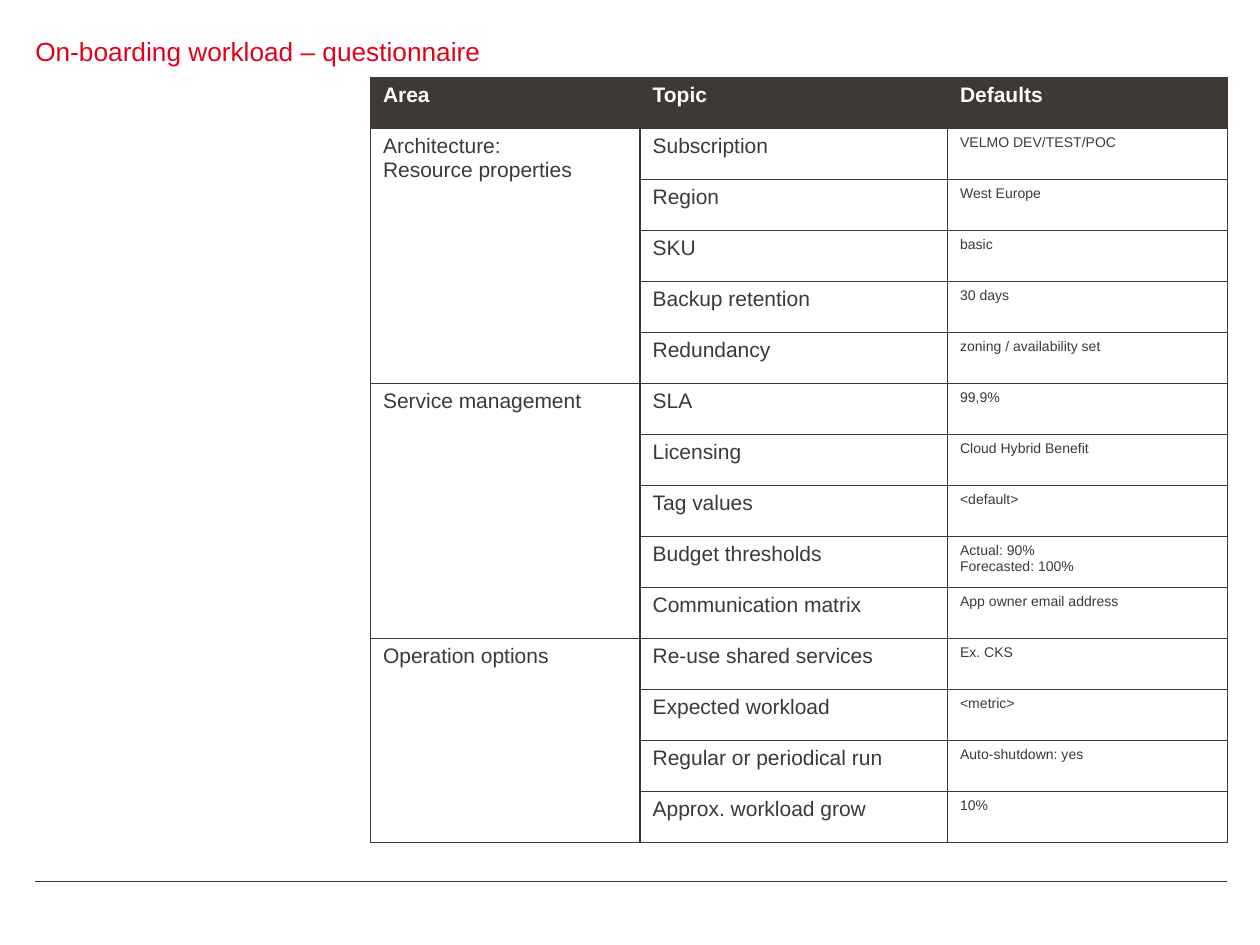
from dataclasses import dataclass

from lxml.etree import SubElement
from pptx import Presentation
from pptx.dml.color import RGBColor
from pptx.enum.shapes import MSO_CONNECTOR
from pptx.enum.text import MSO_ANCHOR, PP_ALIGN
from pptx.oxml.ns import qn
from pptx.util import Inches, Pt


@dataclass(frozen=True)
class Theme:
    font: str = "Arial"
    accent: str = "DF021B"
    ink: str = "3D3935"
    edge: str = "3C3834"
    paper: str = "FFFFFF"
    title_size: float = 15
    cell_size: float = 12
    default_size: float = 8
    thin: float = 0.75
    grid: float = 1


# Positions as shares of the slide
LEFT, RIGHT = 0.028, 0.974
TITLE_TOP, TITLE_HEIGHT = 0.04, 0.033
TABLE_LEFT, TABLE_TOP, TABLE_HEIGHT = 0.294, 0.082, 0.81
COLUMNS = (0.214, 0.244, 0.222)
FOOTER_Y = 0.933

HEADER = ("Area", "Topic", "Defaults")
AREAS = {
    "Architecture:\nResource properties": [
        ("Subscription", "VELMO DEV/TEST/POC"),
        ("Region", "West Europe"),
        ("SKU", "basic"),
        ("Backup retention", "30 days"),
        ("Redundancy", "zoning / availability set"),
    ],
    "Service management": [
        ("SLA", "99,9%"),
        ("Licensing", "Cloud Hybrid Benefit"),
        ("Tag values", "<default>"),
        ("Budget thresholds", "Actual: 90%\nForecasted: 100%"),
        ("Communication matrix", "App owner email address"),
    ],
    "Operation options": [
        ("Re-use shared services", "Ex. CKS"),
        ("Expected workload", "<metric>"),
        ("Regular or periodical run", "Auto-shutdown: yes"),
        ("Approx. workload grow", "10%"),
    ],
}


def write(tf, text, *, font, size, color, bold=False, spacing=None):
    """Fill a text frame, one paragraph per line of text."""
    for i, line in enumerate(text.split("\n")):
        p = tf.add_paragraph() if i else tf.paragraphs[0]
        p.alignment = PP_ALIGN.LEFT
        p.line_spacing = spacing
        r = p.add_run()
        r.text = line
        r.font.name = font
        r.font.size = Pt(size)
        r.font.bold = bold
        r.font.color.rgb = RGBColor.from_string(color)


class Deck:
    def __init__(self, theme):
        self.theme = theme
        self.prs = Presentation()
        self.prs.slide_width, self.prs.slide_height = Inches(10), Inches(7.5)
        self.s = self.prs.slides.add_slide(self.prs.slide_layouts[5])

    def x(self, share):
        return round(self.prs.slide_width * share)

    def y(self, share):
        return round(self.prs.slide_height * share)

    def title(self, text):
        t, sp = self.theme, self.s.shapes.title
        sp.left, sp.top = self.x(LEFT), self.y(TITLE_TOP)
        sp.width, sp.height = self.x(RIGHT - LEFT), self.y(TITLE_HEIGHT)
        tf = sp.text_frame
        tf.margin_left = tf.margin_right = tf.margin_top = tf.margin_bottom = 0
        tf.vertical_anchor = MSO_ANCHOR.MIDDLE
        write(tf, text, font=t.font, size=t.title_size, color=t.accent, spacing=0.9)

    def rule(self, y):
        line = self.s.shapes.add_connector(
            MSO_CONNECTOR.STRAIGHT, self.x(LEFT), self.y(y), self.x(RIGHT), self.y(y))
        line.line.color.rgb = RGBColor.from_string(self.theme.edge)
        line.line.width = Pt(self.theme.thin)
        SubElement(line._element.spPr, qn("a:effectLst"))

    def border(self, cell, side, outer):
        t = self.theme
        width, color = (t.thin, t.edge) if outer else (t.grid, t.ink)
        ln = SubElement(cell._tc.get_or_add_tcPr(), qn(f"a:ln{side}"), w=str(Pt(width)))
        fill = SubElement(ln, qn("a:solidFill"))
        SubElement(fill, qn("a:srgbClr"), val=color)

    def table(self, header, areas):
        t = self.theme
        rows = [header]
        for area, topics in areas.items():
            rows += [(area if i == 0 else "", *topic) for i, topic in enumerate(topics)]
        last_row, last_col = len(rows) - 1, len(header) - 1
        table = self.s.shapes.add_table(
            len(rows), len(header), self.x(TABLE_LEFT), self.y(TABLE_TOP),
            self.x(sum(COLUMNS)), self.y(TABLE_HEIGHT)).table
        table.first_row = table.horz_banding = False
        for column, share in zip(table.columns, COLUMNS):
            column.width = self.x(share)

        # Cells: outer edges are thin, inner ones use the grid weight
        for r, values in enumerate(rows):
            table.rows[r].height = self.y(TABLE_HEIGHT / len(rows))
            for c, text in enumerate(values):
                cell = table.cell(r, c)
                for side, outer in (("L", c == 0), ("R", c == last_col),
                                    ("T", r == 0), ("B", r == last_row)):
                    self.border(cell, side, outer)
                cell.fill.solid()
                cell.fill.fore_color.rgb = RGBColor.from_string(t.paper if r else t.ink)
                if text:
                    size = t.default_size if r and c == last_col else t.cell_size
                    write(cell.text_frame, text, font=t.font, size=size,
                          color=t.ink if r else t.paper, bold=r == 0)

        # Each area spans its topics
        start = 1
        for topics in areas.values():
            end = start + len(topics) - 1
            table.cell(start, 0).merge(table.cell(end, 0))
            start = end + 1


def main():
    deck = Deck(Theme())
    deck.rule(FOOTER_Y)
    deck.title("On-boarding workload – questionnaire")
    deck.table(HEADER, AREAS)
    deck.prs.save("out.pptx")


if __name__ == "__main__":
    main()
